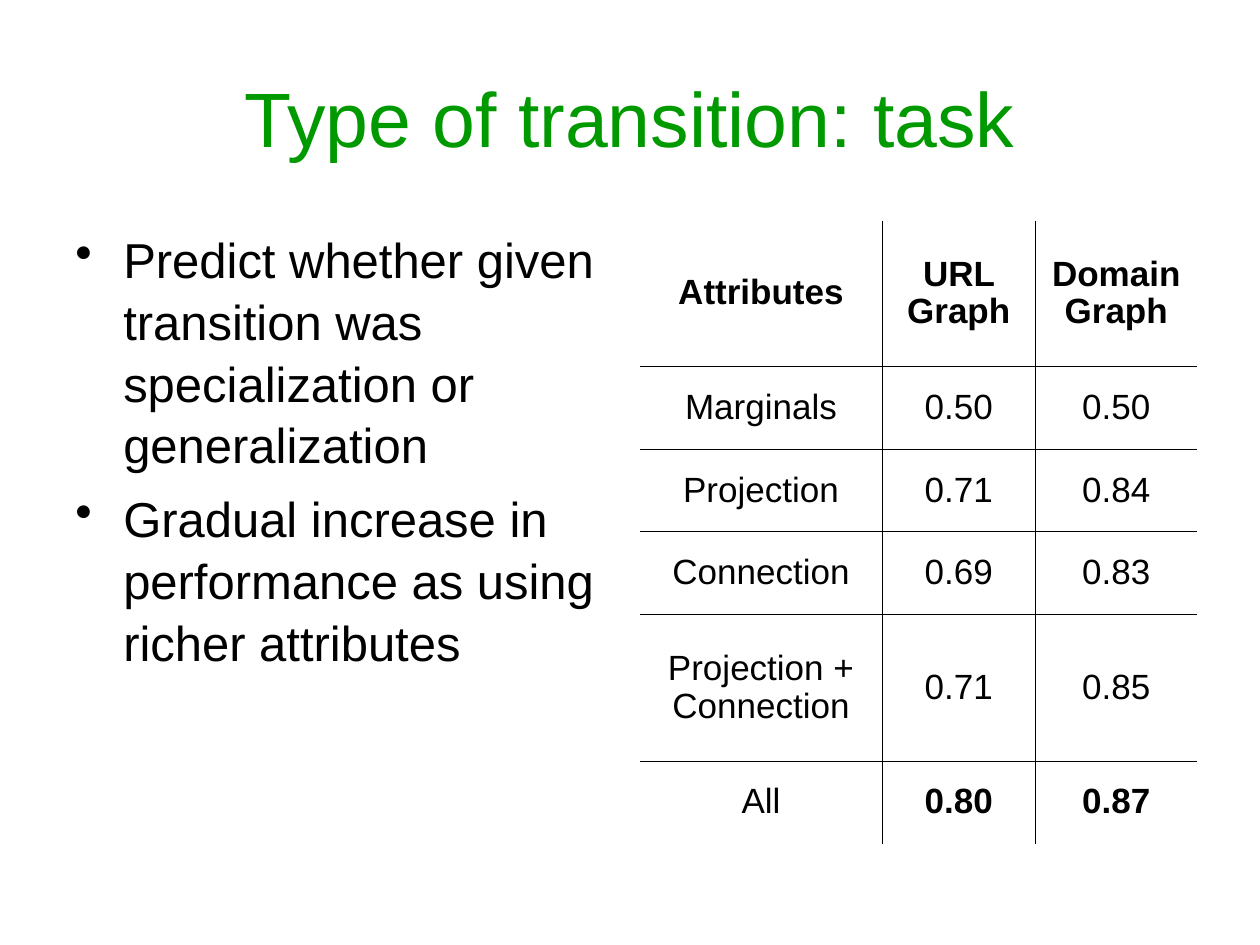
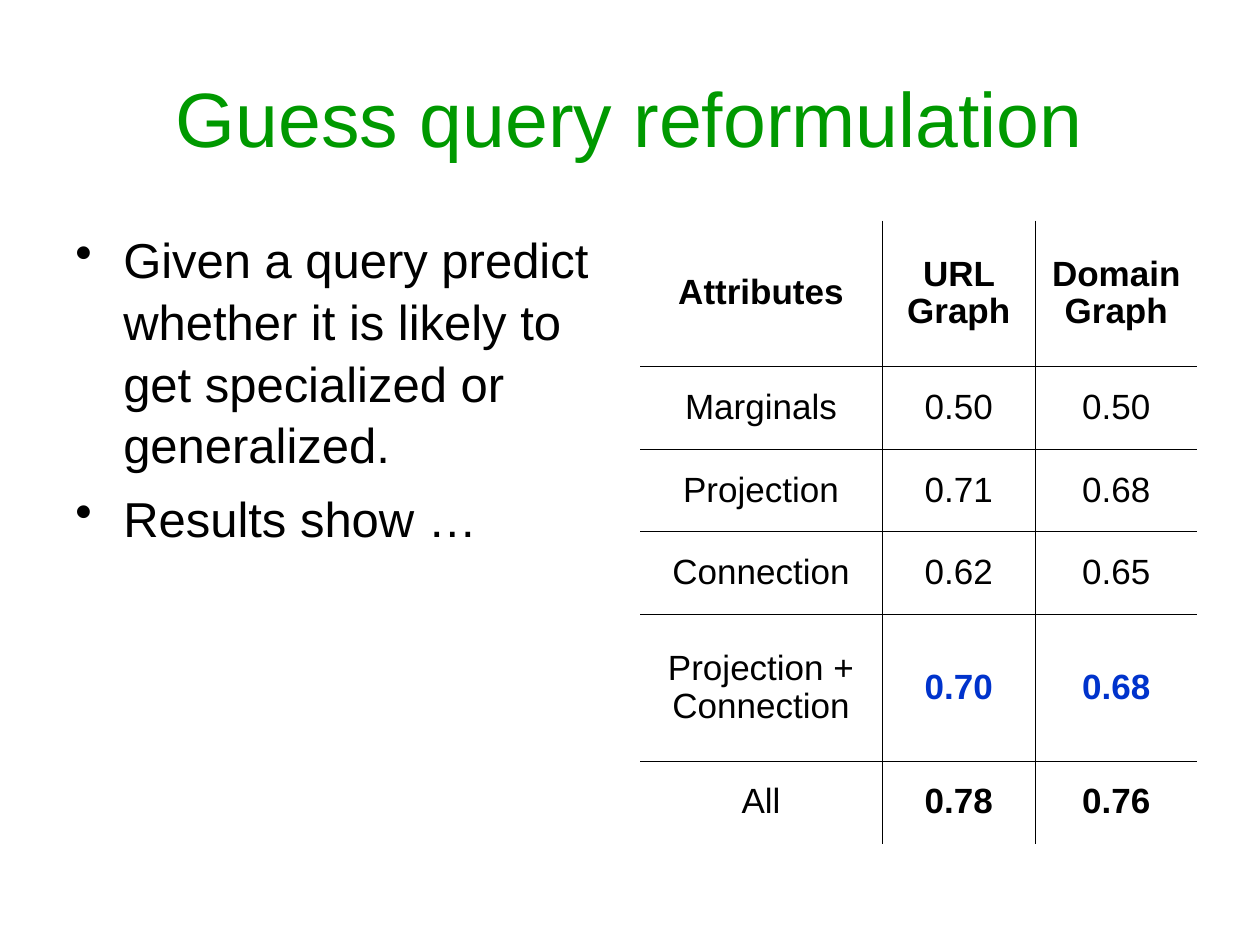
"""Build two slides that each pair bullet points with a table of scores."""
from dataclasses import dataclass

import pptx
import pptx.dml.color
import pptx.enum.text
import pptx.oxml
import pptx.oxml.ns
import pptx.presentation
import pptx.slide
import pptx.table
import pptx.text.text
import pptx.util
from pptx.dml.color import RGBColor
from pptx.util import Inches

GREEN = RGBColor(0x00, 0x99, 0x00)
BLACK = RGBColor(0x00, 0x00, 0x00)
BLUE = RGBColor(0x00, 0x33, 0xCC)
FONT = "Arial"
LEFT, TOP = Inches(0.5), Inches(1.75)
WIDTH, HEIGHT = Inches(4.42), Inches(4.95)
GRID_LEFT = Inches(5.08)
INDENT = Inches(0.38)
COLS = (1.92, 1.22, 1.28)
ROWS = (1.16, 0.66, 0.65, 0.66, 1.16, 0.66)
THIN, THICK = pptx.util.Pt(0.45), pptx.util.Pt(1.08)


@dataclass(frozen=True)
class Score:
    name: str
    url: str
    domain: str
    bold: bool = False
    color: RGBColor = BLACK


@dataclass(frozen=True)
class Page:
    title: str
    points: tuple[str, ...]
    scores: tuple[Score, ...]


HEAD = Score("Attributes", "URL Graph", "Domain Graph", True)
PAGES = (
    Page(
        "Type of transition: task",
        ("Predict whether given transition was specialization or generalization",
         "Gradual increase in performance as using richer attributes"),
        (Score("Marginals", "0.50", "0.50"),
         Score("Projection", "0.71", "0.84"),
         Score("Connection", "0.69", "0.83"),
         Score("Projection + Connection", "0.71", "0.85"),
         Score("All", "0.80", "0.87", True)),
    ),
    Page(
        "Guess query reformulation",
        ("Given a query predict whether it is likely to get specialized or generalized.",
         "Results show …"),
        (Score("Marginals", "0.50", "0.50"),
         Score("Projection", "0.71", "0.68"),
         Score("Connection", "0.62", "0.65"),
         Score("Projection + Connection", "0.70", "0.68", True, BLUE),
         Score("All", "0.78", "0.76", True)),
    ),
)


def style(par: pptx.text.text._Paragraph, size: int, color: RGBColor, bold: bool = False) -> None:
    for run in par.runs:
        run.font.name = FONT
        run.font.size = pptx.util.Pt(size)
        run.font.color.rgb = color
        run.font.bold = bold


def add_title(slide: pptx.slide.Slide, text: str) -> None:
    title = slide.shapes.title
    title.left, title.top = LEFT, Inches(0.3)
    title.width, title.height = Inches(9), Inches(1.25)
    frame = title.text_frame
    frame.text = text
    frame.vertical_anchor = pptx.enum.text.MSO_ANCHOR.MIDDLE
    frame.paragraphs[0].alignment = pptx.enum.text.PP_ALIGN.CENTER
    style(frame.paragraphs[0], 44, GREEN)


def add_points(slide: pptx.slide.Slide, points: tuple[str, ...]) -> None:
    frame = slide.shapes.add_textbox(LEFT, TOP, WIDTH, HEIGHT).text_frame
    frame.word_wrap = True
    frame.text = "\n".join(points)
    for index, par in enumerate(frame.paragraphs):
        par.line_spacing = 1.05
        if index:
            par.space_before = pptx.util.Pt(7)
        props = par._p.get_or_add_pPr()
        props.set("marL", str(INDENT))
        props.set("indent", str(-INDENT))
        mark = pptx.oxml.parse_xml(f'<a:buChar {pptx.oxml.ns.nsdecls("a")} char="•"/>')
        props.append(mark)
        style(par, 28, BLACK)


def set_edge(cell: pptx.table._Cell, side: str, width: int) -> None:
    fill = f'<a:solidFill><a:srgbClr val="{BLACK}"/></a:solidFill>' if width else "<a:noFill/>"
    line = f'<a:ln{side} {pptx.oxml.ns.nsdecls("a")} w="{width}">{fill}</a:ln{side}>'
    cell._tc.get_or_add_tcPr().append(pptx.oxml.parse_xml(line))


def add_grid(slide: pptx.slide.Slide, scores: tuple[Score, ...]) -> None:
    grid = slide.shapes.add_table(len(ROWS), len(COLS), GRID_LEFT, TOP, WIDTH, HEIGHT).table
    grid.first_row = grid.horz_banding = False
    for col, width in zip(grid.columns, COLS):
        col.width = Inches(width)
    for row, height in zip(grid.rows, ROWS):
        row.height = Inches(height)
    across = (0, THIN, THIN, 0)
    down = (0, THICK, THIN, THIN, THIN, THIN, 0)
    for r, score in enumerate((HEAD, *scores)):
        for c, text in enumerate((score.name, score.url, score.domain)):
            cell = grid.cell(r, c)
            cell.text_frame.text = text
            cell.vertical_anchor = pptx.enum.text.MSO_ANCHOR.MIDDLE
            par = cell.text_frame.paragraphs[0]
            par.alignment = pptx.enum.text.PP_ALIGN.CENTER
            par.line_spacing = 0.97
            strong = score.bold and (c > 0 or r == 0)
            style(par, 20, score.color if c else BLACK, strong)
            edges = (("L", across[c]), ("R", across[c + 1]), ("T", down[r]), ("B", down[r + 1]))
            for side, width in edges:
                set_edge(cell, side, width)
            cell.fill.background()


def main() -> None:
    deck = pptx.Presentation()
    deck.slide_width, deck.slide_height = Inches(10), Inches(7.5)
    for page in PAGES:
        slide = deck.slides.add_slide(deck.slide_layouts[5])
        add_title(slide, page.title)
        add_points(slide, page.points)
        add_grid(slide, page.scores)
    deck.save("out.pptx")


if __name__ == "__main__":
    main()
